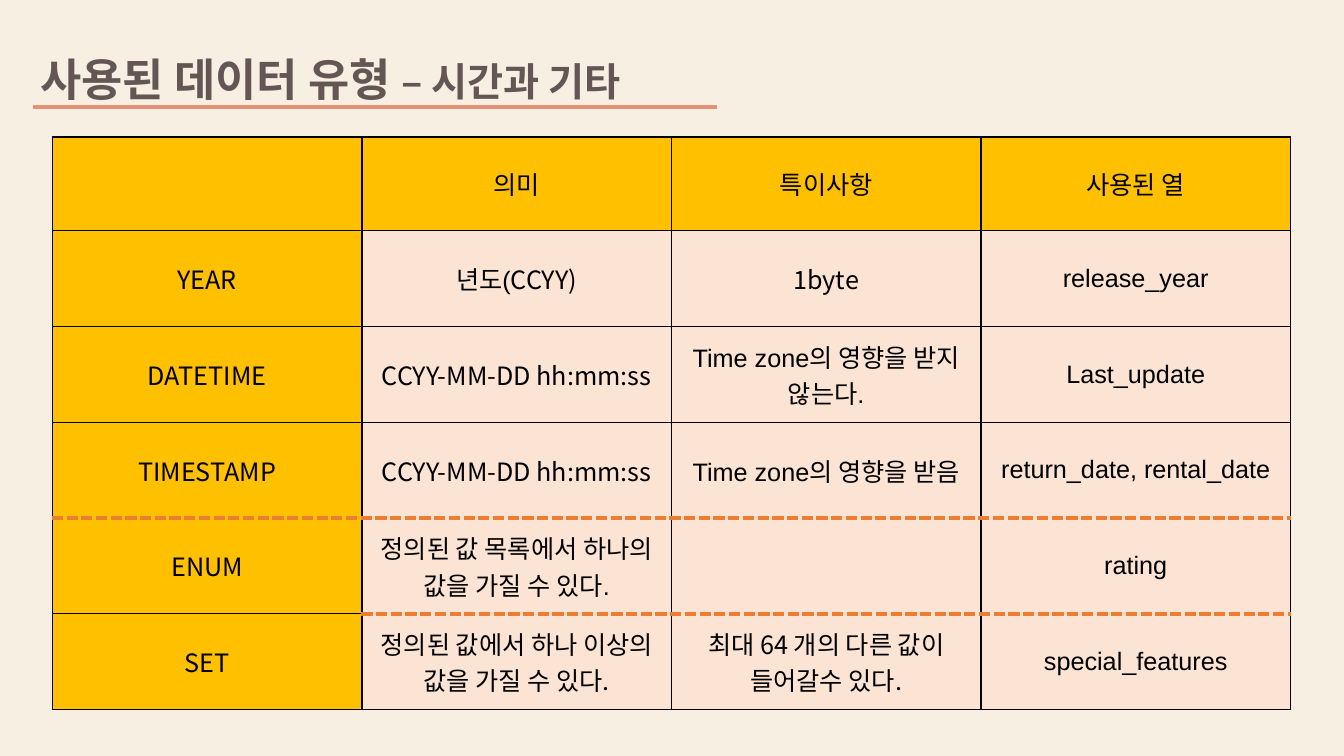
import pptx
import pptx.dml.color
import pptx.enum.shapes
import pptx.enum.text
import pptx.oxml
import pptx.oxml.ns
import pptx.util
from lxml import etree

Inches = pptx.util.Inches
RGBColor = pptx.dml.color.RGBColor

BACKGROUND = RGBColor(0xF7, 0xEF, 0xE2)
TITLE_BROWN = RGBColor(0x64, 0x56, 0x54)
UNDERLINE = RGBColor(0xE4, 0x91, 0x73)
HEADER_FILL = RGBColor(0xFF, 0xC0, 0x00)
BODY_FILL = RGBColor(0xFB, 0xE4, 0xD4)
BLACK = RGBColor(0x00, 0x00, 0x00)
DASH_ORANGE = RGBColor(0xED, 0x7D, 0x31)

ARIAL = "Arial"
NOTO = "Noto Sans CJK KR"
NO_GRID_STYLE = "{2D5ABB26-0587-4C30-8999-92F81FD0307C}"
SOLID_BORDER = (BLACK, 1, "solid")
DASHED_BORDER = (DASH_ORANGE, 3, "dash")

# Each cell is a list of (text, font) runs
DATA_TYPES = [
    [[], [("의미", ARIAL)], [("특이사항", ARIAL)], [("사용된 열", ARIAL)]],
    [[("YEAR", NOTO)], [("년도(", ARIAL), ("CCYY)", NOTO)],
     [("1byte", NOTO)], [("release_year", ARIAL)]],
    [[("DATETIME", NOTO)], [("CCYY-MM-DD hh:mm:ss", NOTO)],
     [("Time zone의 영향을 받지 않는다.", ARIAL)], [("Last_update", ARIAL)]],
    [[("TIMESTAMP", NOTO)], [("CCYY-MM-DD hh:mm:ss", NOTO)],
     [("Time zone의 영향을 받음", ARIAL)], [("return_date, rental_date", ARIAL)]],
    [[("ENUM", NOTO)], [("정의된 값 목록에서 하나의 값을 가질 수 있다.", ARIAL)],
     [], [("rating", ARIAL)]],
    [[("SET", NOTO)], [("정의된 값에서 하나 이상의 값을 가질 수 있다.", NOTO)],
     [("최대 64 개의 다른 값이 들어갈수 있다.", NOTO)], [("special_features", ARIAL)]],
]


def format_run(run, font, size, color, bold=False):
    run.font.name = font
    run.font.size = pptx.util.Pt(size)
    run.font.bold = bold
    run.font.color.rgb = color
    # Korean letters take the East Asian typeface
    east_asian = pptx.oxml.parse_xml(
        f'<a:ea {pptx.oxml.ns.nsdecls("a")} typeface="{NOTO}"/>')
    run.font._element.find(pptx.oxml.ns.qn("a:latin")).addnext(east_asian)


def add_border(cell, side, border):
    color, width, dash = border
    cell._tc.get_or_add_tcPr().append(pptx.oxml.parse_xml(
        f'<a:ln{side} {pptx.oxml.ns.nsdecls("a")} w="{pptx.util.Pt(width)}">'
        f'<a:solidFill><a:srgbClr val="{color}"/></a:solidFill>'
        f'<a:prstDash val="{dash}"/></a:ln{side}>'))


presentation = pptx.Presentation()
presentation.slide_width = Inches(13.33)
presentation.slide_height = Inches(7.5)
slide = presentation.slides.add_slide(presentation.slide_layouts[5])
slide.background.fill.solid()
slide.background.fill.fore_color.rgb = BACKGROUND

# Title
title = slide.shapes.title
title.left, title.top = Inches(0.3), Inches(0.46)
title.width, title.height = Inches(6.91), Inches(0.64)
title.text_frame.auto_size = pptx.enum.text.MSO_AUTO_SIZE.NONE
title.text_frame.vertical_anchor = pptx.enum.text.MSO_ANCHOR.MIDDLE
paragraph = title.text_frame.paragraphs[0]
paragraph.alignment = pptx.enum.text.PP_ALIGN.LEFT
for text, size in [("사용된 데이터 유형 ", 32), ("– 시간과 기타", 28)]:
    run = paragraph.add_run()
    run.text = text
    format_run(run, ARIAL, size, TITLE_BROWN, bold=True)

# Line under the title
underline = slide.shapes.add_connector(
    pptx.enum.shapes.MSO_CONNECTOR.STRAIGHT,
    Inches(0.33), Inches(1.06), Inches(7.11), Inches(1.06))
underline.line.color.rgb = UNDERLINE
underline.line.width = pptx.util.Pt(3)
etree.SubElement(underline._element.spPr, pptx.oxml.ns.qn("a:effectLst"))

# Table of data types
row_count, column_count = len(DATA_TYPES), len(DATA_TYPES[0])
table = slide.shapes.add_table(
    row_count, column_count,
    Inches(0.52), Inches(1.36), Inches(12.28), Inches(5.68)).table
table.first_row = False
table.horz_banding = False
table._tbl.tblPr.find(pptx.oxml.ns.qn("a:tableStyleId")).text = NO_GRID_STYLE
for column in table.columns:
    column.width = Inches(3.07)
for row_index, row in enumerate(table.rows):
    row.height = Inches(0.93 if row_index == 0 else 0.95)

# Borders by grid edge: (row or column line, position along it)
horizontal = {(line, column): SOLID_BORDER
              for line in range(row_count + 1) for column in range(column_count)}
vertical = {(row, line): SOLID_BORDER
            for row in range(row_count) for line in range(column_count + 1)}
for column in range(column_count):
    horizontal[4, column] = DASHED_BORDER
for column in range(1, column_count):
    horizontal[3, column] = None
    horizontal[5, column] = DASHED_BORDER
for row in range(1, row_count):
    vertical[row, 3] = None

# Cell borders, fills and text
for row, cells in enumerate(DATA_TYPES):
    for column, runs in enumerate(cells):
        cell = table.cell(row, column)
        edges = {"L": vertical[row, column], "R": vertical[row, column + 1],
                 "T": horizontal[row, column], "B": horizontal[row + 1, column]}
        for side, border in edges.items():
            if border:
                add_border(cell, side, border)
        cell.fill.solid()
        cell.fill.fore_color.rgb = HEADER_FILL if row == 0 or column == 0 else BODY_FILL
        cell.vertical_anchor = pptx.enum.text.MSO_ANCHOR.MIDDLE
        paragraph = cell.text_frame.paragraphs[0]
        paragraph.alignment = pptx.enum.text.PP_ALIGN.CENTER
        for text, font in runs:
            run = paragraph.add_run()
            run.text = text
            format_run(run, font, 18, BLACK)

presentation.save("out.pptx")
